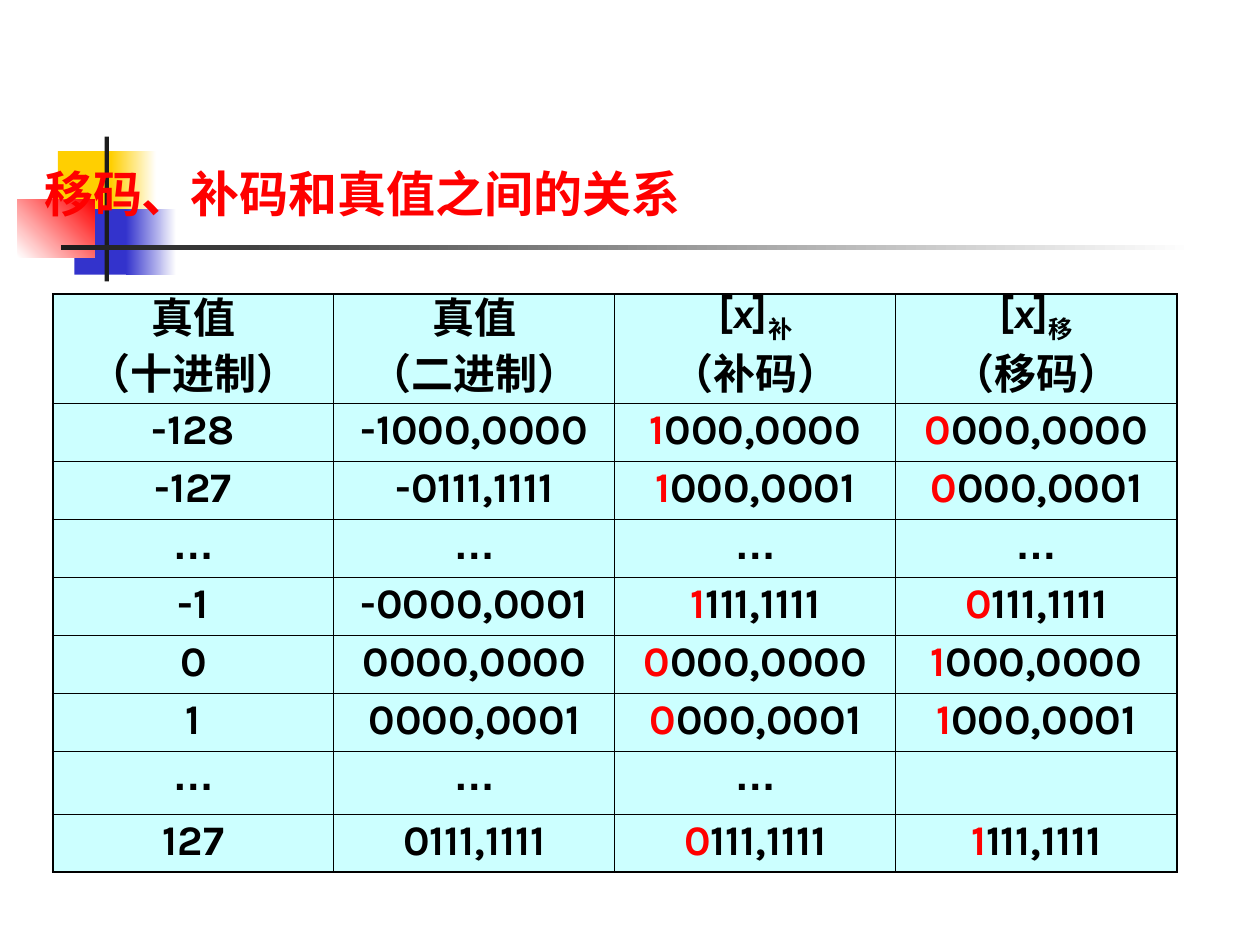
from lxml import etree
from pptx import Presentation
from pptx import util as u
from pptx.dml import color as c
from pptx.enum import shapes, text
from pptx.oxml import ns

Pt = u.Pt
hues = {"gold": "FFCF01", "blue": "3333CC", "red": "FF0000", "dark": "1C1C1C",
        "white": "FFFFFF", "black": "000000", "aqua": "CCFFFF"}


def tint(name):
    return c.RGBColor.from_string(hues[name])


def write(par, words, face="Karla", size=24, hue="black", slant=False, base=0):
    run = par.add_run()
    run.text = words
    font = run.font
    font.name, font.size, font.bold, font.italic = face, Pt(size), True, slant
    font.color.rgb = tint(hue)
    if base:
        run._r.get_or_add_rPr().set("baseline", str(base * 1000))


deck = Presentation()
deck.slide_width, deck.slide_height = Pt(720), Pt(540)
slide = deck.slides.add_slide(deck.slide_layouts[5])

highs = [62.3] + [33.14] * 6 + [36, 33.14]
left, top, wide, high = 30.2, 168, 642.24, sum(highs)

blocks = [
    (33.1, 86.4, 34.6, 37.4, "gold", None, 0),
    (63.4, 86.4, 25.9, 37.4, "gold", "white", 0),
    (42.5, 119.5, 33.1, 37.4, "blue", None, 0),
    (72, 119.5, 28.8, 37.4, "blue", "white", 0),
    (10.1, 113.8, 43.9, 33.1, "white", "red", 45),
    (59.8, 78, 2.4, 82.8, "dark", None, 0),
    (34.6, 140.2, 648, 2.4, "dark", "white", 0),
    (left, top, wide, high, "aqua", None, 0),
]
for x, y, w, h, hue, fade, turn in blocks:
    block = slide.shapes.add_shape(shapes.MSO_SHAPE.RECTANGLE, Pt(x), Pt(y), Pt(w), Pt(h))
    block.shadow.inherit = False
    block.line.fill.background()
    if fade:
        block.fill.gradient()
        block.fill.gradient_angle = turn
        for stop, name, place in zip(block.fill.gradient_stops, (hue, fade), (0, 1)):
            stop.color.rgb = tint(name)
            stop.position = place
    else:
        block.fill.solid()
        block.fill.fore_color.rgb = tint(hue)
    if hue == "aqua":
        block.line.color.rgb = tint("black")
        block.line.width = Pt(0.75)

title = slide.shapes.title
title.left, title.top, title.width, title.height = Pt(18), Pt(90), Pt(684), Pt(41)
slide.shapes.element.append(title.element)
frame = title.text_frame
frame.word_wrap = True
frame.auto_size = text.MSO_AUTO_SIZE.NONE
frame.vertical_anchor = text.MSO_ANCHOR.TOP
frame.paragraphs[0].alignment = text.PP_ALIGN.LEFT
write(frame.paragraphs[0], "移码、补码和真值之间的关系", face="Times New Roman", size=28, hue="red")

rows = [
    ["真值\n（十进制）", "真值\n（二进制）", "[x]补\n（补码）", "[x]移\n（移码）"],
    ["-128", "-1000,0000", "1000,0000", "0000,0000"],
    ["-127", "-0111,1111", "1000,0001", "0000,0001"],
    ["…", "…", "…", "…"],
    ["-1", "-0000,0001", "1111,1111", "0111,1111"],
    ["0", "0000,0000", "0000,0000", "1000,0000"],
    ["1", "0000,0001", "0000,0001", "1000,0001"],
    ["…", "…", "…", ""],
    ["127", "0111,1111", "0111,1111", "1111,1111"],
]
count, width = len(rows), len(rows[0])
grid = slide.shapes.add_table(count, width, Pt(left), Pt(top), Pt(wide), Pt(high)).table
grid.first_row = grid.horz_banding = False
for col in grid.columns:
    col.width = Pt(wide / width)

for i, row in enumerate(rows):
    grid.rows[i].height = Pt(highs[i])
    for j, words in enumerate(row):
        cell = grid.cell(i, j)
        if i == 0:
            cell.margin_bottom = Pt(0)
        props = cell._tc.get_or_add_tcPr()
        edges = {"L": j == 0, "R": j == width - 1, "T": i == 0, "B": i == count - 1}
        for side, outer in edges.items():
            line = etree.SubElement(props, ns.qn("a:ln" + side), w=str(Pt(1.08 if outer else 0.45)))
            fill = etree.SubElement(line, ns.qn("a:solidFill"))
            etree.SubElement(fill, ns.qn("a:srgbClr"), val=hues["black"])
        cell.fill.background()
        for k, part in enumerate(words.split("\n")):
            par = cell.text_frame.paragraphs[0] if k == 0 else cell.text_frame.add_paragraph()
            par.alignment = text.PP_ALIGN.CENTER
            par.line_spacing = 0.9 if i else Pt(26)
            if k:
                par.space_before = Pt(6)
            if part.startswith("[x]"):
                write(par, "[")
                write(par, "x", slant=True)
                write(par, "]")
                write(par, part[3:], base=-25)
            elif part == "…":
                write(par, part, face="Arial")
            elif i and j > 1 and part:
                write(par, part[0], hue="red")
                write(par, part[1:])
            elif part:
                write(par, part)

deck.save("out.pptx")
